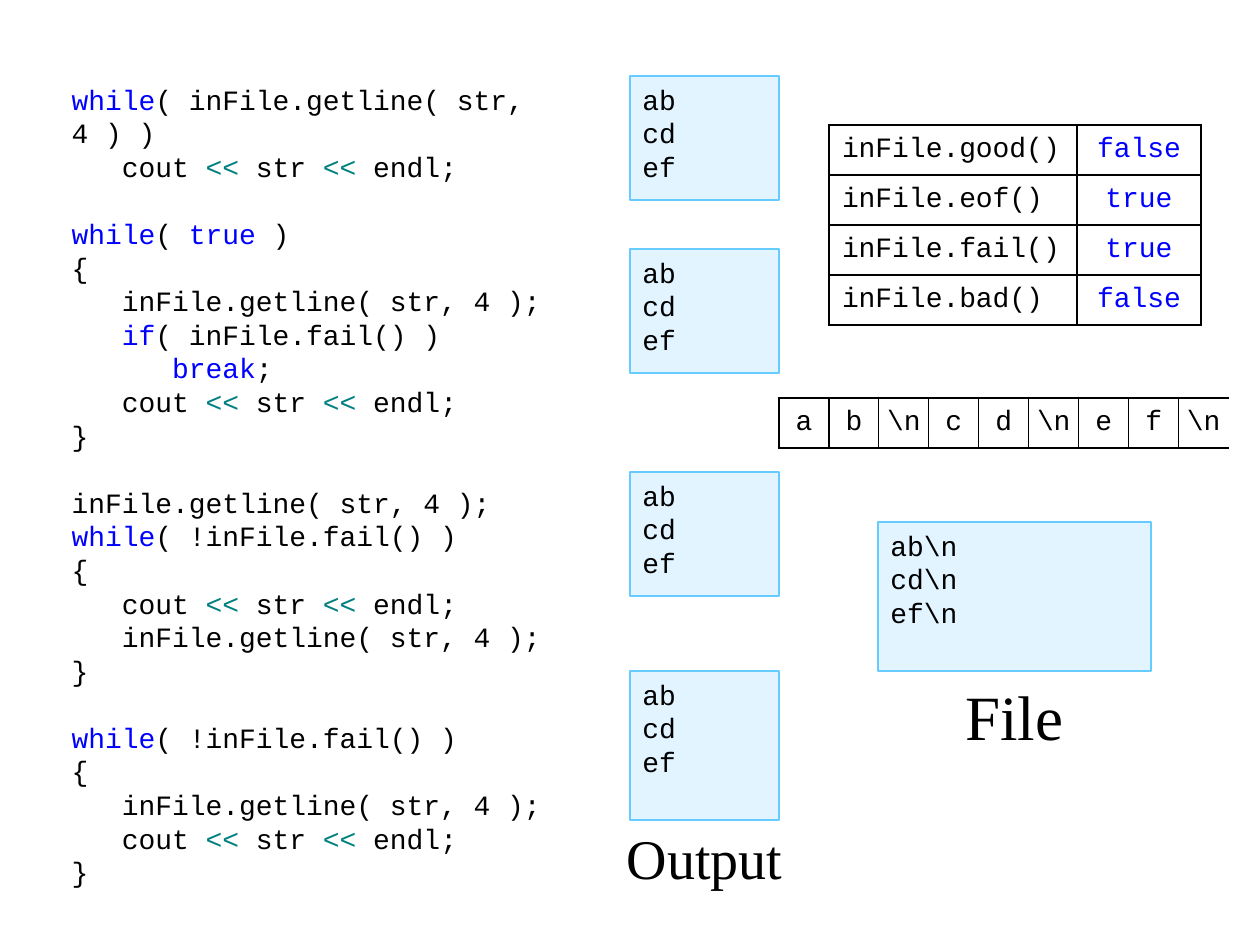
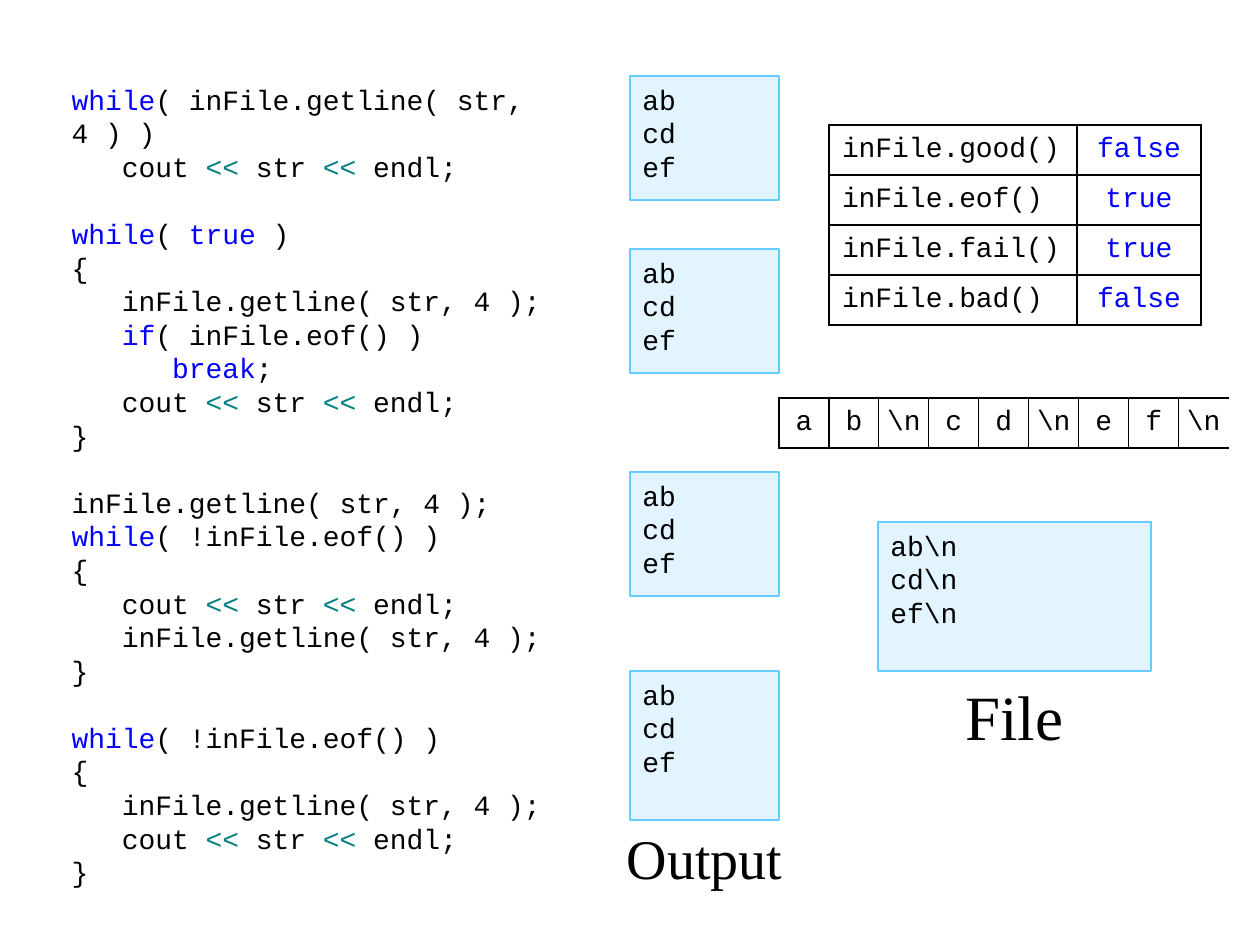
"""Build two slides that compare loop conditions for reading a file."""
from lxml import etree
from pptx import Presentation
from pptx.dml.color import RGBColor
from pptx.enum.shapes import MSO_SHAPE
from pptx.enum.text import MSO_ANCHOR, MSO_AUTO_SIZE, PP_ALIGN
from pptx.oxml.ns import qn
from pptx.util import Pt

RECTANGLE = MSO_SHAPE.RECTANGLE
LEFT, CENTER = PP_ALIGN.LEFT, PP_ALIGN.CENTER
TOP, MIDDLE = MSO_ANCHOR.TOP, MSO_ANCHOR.MIDDLE
NO_FIT = MSO_AUTO_SIZE.NONE

EMU_PER_PX = 914400 / 126
CODE_FONT, LABEL_FONT = "Courier New", "Times New Roman"
CODE_SIZE, LINE_PITCH = 16, 19.2
COLOURS = {"text": "000000", "keyword": "0000FF", "operator": "008080",
           "box": "E1F4FF", "edge": "66CCFF"}
TOKENS = {"while": "keyword", "if": "keyword", "break": "keyword",
          "true": "keyword", "false": "keyword", "<<": "operator"}
NBSP = chr(160)

STATES = [("inFile.good()", "false"), ("inFile.eof()", "true"),
          ("inFile.fail()", "true"), ("inFile.bad()", "false")]
OUTPUT_LINES = ["ab", "cd", "ef"]
OUTPUT_BOXES = [(76, 124), (249, 124), (472, 124), (671, 149)]
FILE_LINES = [line + r"\n" for line in OUTPUT_LINES]
FILE_CHARACTERS = ["a", "b", r"\n", "c", "d", r"\n", "e", "f", r"\n"]


def px(length):
    """Turn pixels into EMU."""
    return round(length * EMU_PER_PX)


def colour(name):
    """Look up a named colour."""
    return RGBColor.from_string(COLOURS[name])


def split_tokens(line):
    """Split a code line into pieces, with each coloured token alone."""
    for token in TOKENS:
        line = line.replace(token, f"|{token}|")
    return [piece for piece in line.split("|") if piece]


def write_text(paragraph, text, font=CODE_FONT, size=CODE_SIZE, align=LEFT,
               before=0, pitch=None):
    """Write text into a paragraph, colouring its code tokens."""
    paragraph.alignment = align
    paragraph.space_before = Pt(before)
    paragraph.space_after = Pt(0)
    if pitch:
        paragraph.line_spacing = Pt(pitch)
    for piece in split_tokens(text):
        run = paragraph.add_run()
        run.text = piece
        run.font.name = font
        run.font.size = Pt(size)
        run.font.bold = False
        run.font.color.rgb = colour(TOKENS.get(piece, "text"))


def code_blocks(check):
    """Return the four reading loops that use the given state check."""
    read = "   inFile.getline( str, 4 );"
    show = "   cout << str << endl;"
    return [
        [f"while( inFile.getline( str, 4{NBSP}){NBSP}) )"[:-2].replace(
            f"{NBSP})", f"{NBSP})"), show],
        ["while( true )", "{", read, f"   if( inFile.{check}() )",
         "      break;", show, "}"],
        [read.strip(), f"while( !inFile.{check}() )", "{", show, read, "}"],
        [f"while( !inFile.{check}() )", "{", read, show, "}"],
    ]


class Deck:
    """Hold the presentation, the shared style and the current slide."""

    def __init__(self):
        """Open a presentation of the right size."""
        self.presentation = Presentation()
        self.presentation.slide_width = px(1260)
        self.presentation.slide_height = px(945)
        self.slide = None

    def add_slide(self):
        """Start a slide that keeps only its body placeholder."""
        layout = self.presentation.slide_layouts[1]
        self.slide = self.presentation.slides.add_slide(layout)
        title = self.slide.shapes.title.element
        title.getparent().remove(title)

    def code(self, left, top, width, height, blocks):
        """Fill the body placeholder with blocks of code."""
        body = self.slide.placeholders[1]
        body.left, body.top = px(left), px(top)
        body.width, body.height = px(width), px(height)
        frame = body.text_frame
        frame.auto_size = NO_FIT
        frame.vertical_anchor = TOP
        paragraph = None
        for block in blocks:
            for index, line in enumerate(block):
                starts_gap = paragraph is not None and index == 0
                paragraph = (frame.paragraphs[0] if paragraph is None
                             else frame.add_paragraph())
                properties = paragraph._p.get_or_add_pPr()
                properties.set("marL", "0")
                properties.set("indent", "0")
                etree.SubElement(properties, qn("a:buNone"))
                write_text(paragraph, line, pitch=LINE_PITCH,
                           before=LINE_PITCH if starts_gap else 0)

    def box(self, left, top, width, height, lines):
        """Draw a pale box with lines of text at its top left."""
        shape = self.slide.shapes.add_shape(
            RECTANGLE, px(left), px(top), px(width), px(height))
        shape.shadow.inherit = False
        shape.fill.solid()
        shape.fill.fore_color.rgb = colour("box")
        shape.line.color.rgb = colour("edge")
        shape.line.width = Pt(1.5)
        frame = shape.text_frame
        frame.word_wrap = True
        frame.vertical_anchor = TOP
        for index, line in enumerate(lines):
            paragraph = frame.add_paragraph() if index else frame.paragraphs[0]
            write_text(paragraph, line, pitch=LINE_PITCH)

    def label(self, left, top, width, height, text, size, anchor):
        """Write a large centred label."""
        shape = self.slide.shapes.add_textbox(
            px(left), px(top), px(width), px(height))
        frame = shape.text_frame
        frame.word_wrap = True
        frame.vertical_anchor = anchor
        frame.margin_left = frame.margin_right = 0
        write_text(frame.paragraphs[0], text, LABEL_FONT, size, CENTER)

    def border(self, cell, side, width):
        """Draw one side of a cell, or clear it when the width is zero."""
        line = etree.SubElement(cell._tc.get_or_add_tcPr(), qn(f"a:ln{side}"))
        if not width:
            etree.SubElement(line, qn("a:noFill"))
            return
        line.set("w", str(Pt(width)))
        fill = etree.SubElement(line, qn("a:solidFill"))
        etree.SubElement(fill, qn("a:srgbClr")).set("val", COLOURS["text"])

    def table(self, left, top, widths, row_height, rows, aligns, margins,
              inner, right_edge):
        """Draw a table with thick outer and thin inner borders."""
        shape = self.slide.shapes.add_table(
            len(rows), len(widths), px(left), px(top), px(sum(widths)),
            px(row_height * len(rows)))
        table = shape.table
        table.first_row = table.horz_banding = False
        for column, width in zip(table.columns, widths):
            column.width = px(width)
        last_row, last_column = len(rows) - 1, len(widths) - 1
        for y, row in enumerate(rows):
            table.rows[y].height = px(row_height)
            for x, text in enumerate(row):
                cell = table.cell(y, x)
                cell.margin_left = cell.margin_right = px(margins[0])
                cell.margin_top = cell.margin_bottom = px(margins[1])
                cell.vertical_anchor = MIDDLE
                self.border(cell, "L", inner if x else 1.5)
                self.border(cell, "R", inner if x < last_column else right_edge)
                self.border(cell, "T", inner if y else 1.5)
                self.border(cell, "B", inner if y < last_row else 1.5)
                cell.fill.background()
                write_text(cell.text_frame.paragraphs[0], text, align=aligns[x])


def build_slide(deck, check):
    """Build the slide whose loops use the given state check."""
    deck.add_slide()
    deck.code(59, 76, 571, 794, code_blocks(check))
    for top, height in OUTPUT_BOXES:
        deck.box(630, top, 149, height, OUTPUT_LINES)
    deck.label(605, 820, 199, 74, "Output", 32, MIDDLE)
    deck.box(878, 522, 273, 149, FILE_LINES)
    deck.label(953, 671, 123, 100, "File", 36, TOP)
    deck.table(829, 125, [248, 124], 50, STATES, [LEFT, CENTER], (13, 5),
               inner=1, right_edge=1.5)
    count = len(FILE_CHARACTERS)
    deck.table(779, 398, [50] * count, 50, [FILE_CHARACTERS],
               [CENTER] * count, (0, 0), inner=0.75, right_edge=0)


def main():
    """Build both slides and save them."""
    deck = Deck()
    for check in ("fail", "eof"):
        build_slide(deck, check)
    deck.presentation.save("out.pptx")


if __name__ == "__main__":
    main()
